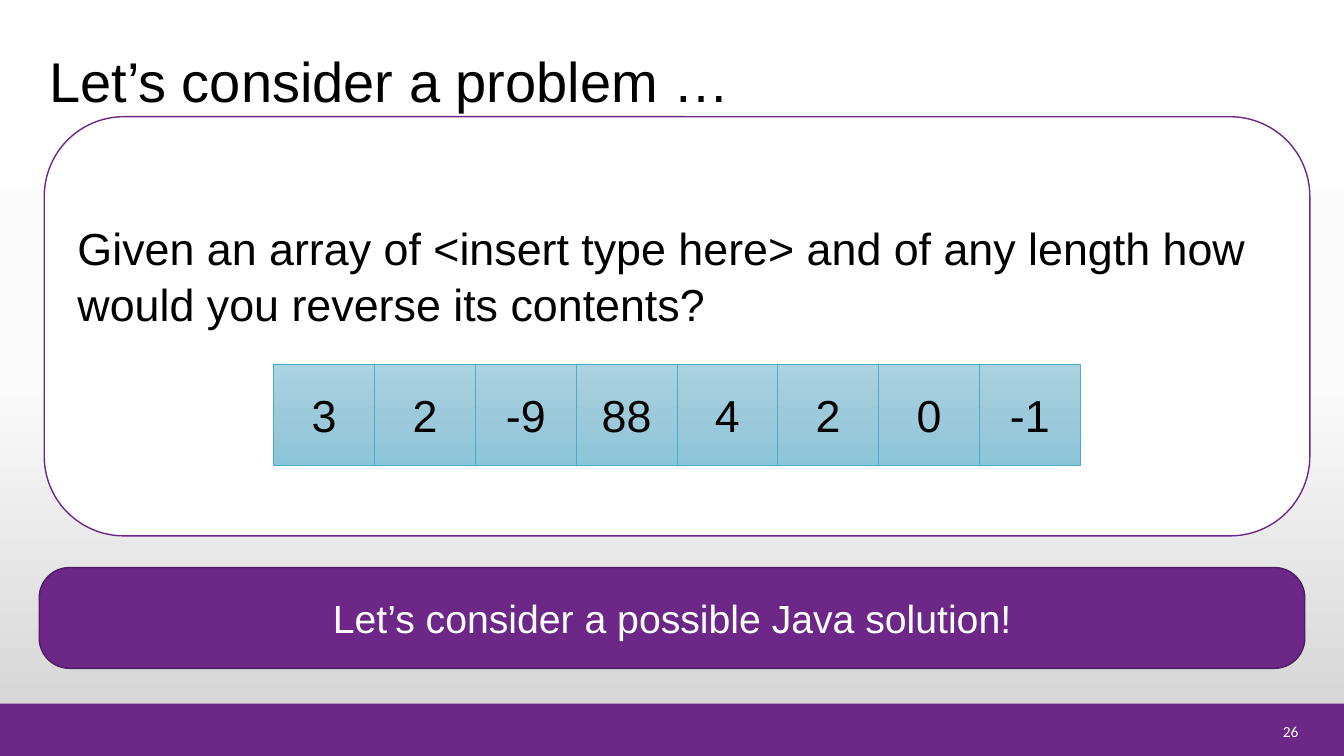
from copy import deepcopy

from pptx import Presentation
from pptx.dml.color import RGBColor
from pptx.enum.shapes import MSO_SHAPE
from pptx.enum.text import MSO_ANCHOR, PP_ALIGN
from pptx.util import Pt

RECT, ROUNDED = MSO_SHAPE.RECTANGLE, MSO_SHAPE.ROUNDED_RECTANGLE
LEFT, CENTER, RIGHT = PP_ALIGN.LEFT, PP_ALIGN.CENTER, PP_ALIGN.RIGHT
MIDDLE = MSO_ANCHOR.MIDDLE

WHITE = RGBColor(0xFF, 0xFF, 0xFF)
BLACK = RGBColor(0x00, 0x00, 0x00)
PURPLE = RGBColor(0x6C, 0x27, 0x87)
DARK_PURPLE = RGBColor(0x50, 0x1D, 0x64)
TEAL = RGBColor(0x4B, 0xAC, 0xC6)
BACKGROUND = [WHITE, RGBColor(0xFB, 0xFB, 0xFB), RGBColor(0xD1, 0xD1, 0xD1)]
CELL_FILL = [RGBColor(0xAA, 0xD2, 0xE1), RGBColor(0x9D, 0xCA, 0xDB),
             RGBColor(0x8B, 0xC5, 0xD9)]

VALUES = [3, 2, -9, 88, 4, 2, 0, -1]
CELL_SIZE = 72


def paint(shape, fill, line=None, width=1):
    """Fill with one colour, or with three colours from top to bottom."""
    if isinstance(fill, list):
        shape.fill.gradient()
        shape.fill.gradient_angle = 270
        first = shape.fill.gradient_stops[0]._gs
        first.addnext(deepcopy(first))
        for i, (stop, color) in enumerate(zip(shape.fill.gradient_stops, fill)):
            stop.position = i / 2
            stop.color.rgb = color
    else:
        shape.fill.solid()
        shape.fill.fore_color.rgb = fill
    if line is not None:
        shape.line.color.rgb = line
        shape.line.width = Pt(width)


def write(shape, text, size, color, align, font="Arial"):
    tf = shape.text_frame
    tf.word_wrap = True
    tf.text = text
    p = tf.paragraphs[0]
    p.alignment = align
    f = p.runs[0].font
    f.name, f.size, f.color.rgb = font, Pt(size), color


prs = Presentation()
prs.slide_width, prs.slide_height = Pt(960), Pt(540)
s = prs.slides.add_slide(prs.slide_layouts[5])
paint(s.background, BACKGROUND)

# Footer bar and slide number
footer = s.shapes.add_shape(RECT, 0, Pt(502.6), Pt(960), Pt(37.4))
footer.shadow.inherit = False
paint(footer, PURPLE)
footer.line.fill.background()
number = s.shapes.add_textbox(Pt(880.6), Pt(512.6), Pt(54), Pt(16.6))
write(number, "26", 11, WHITE, RIGHT, "Calibri")

# Title
title = s.shapes.title
title.left, title.top, title.width, title.height = Pt(28), Pt(26), Pt(746), Pt(62.6)
write(title, "Let’s consider a problem …", 40, BLACK, LEFT)
title.text_frame.vertical_anchor = MIDDLE

# Call to action and problem panel
panels = [
    ("Let’s consider a possible Java solution!", (28, 405.4, 904, 72), 0.3,
     PURPLE, DARK_PURPLE, 28, WHITE, CENTER),
    ("Given an array of <insert type here> and of any length how would you "
     "reverse its contents?", (31.6, 83.4, 904, 299.4), 0.19,
     WHITE, PURPLE, 32, BLACK, LEFT),
]
for text, box, corner, fill, line, size, color, align in panels:
    panel = s.shapes.add_shape(ROUNDED, *map(Pt, box))
    panel.adjustments[0] = corner
    panel.shadow.inherit = False
    paint(panel, fill, line)
    write(panel, text, size, color, align)
    panel.text_frame.vertical_anchor = MIDDLE

# Lift the question above the array
panel.text_frame.margin_bottom = Pt(78)
panel.text_frame.paragraphs[0].line_spacing = 1.05

# Array cells
for i, value in enumerate(VALUES):
    cell = s.shapes.add_shape(RECT, Pt(195.6 + i * CELL_SIZE), Pt(260.4),
                              Pt(CELL_SIZE), Pt(CELL_SIZE))
    cell.shadow.inherit = False
    paint(cell, CELL_FILL, TEAL, 0.5)
    write(cell, str(value), 32, BLACK, CENTER)
    cell.text_frame.vertical_anchor = MIDDLE

prs.save("out.pptx")
